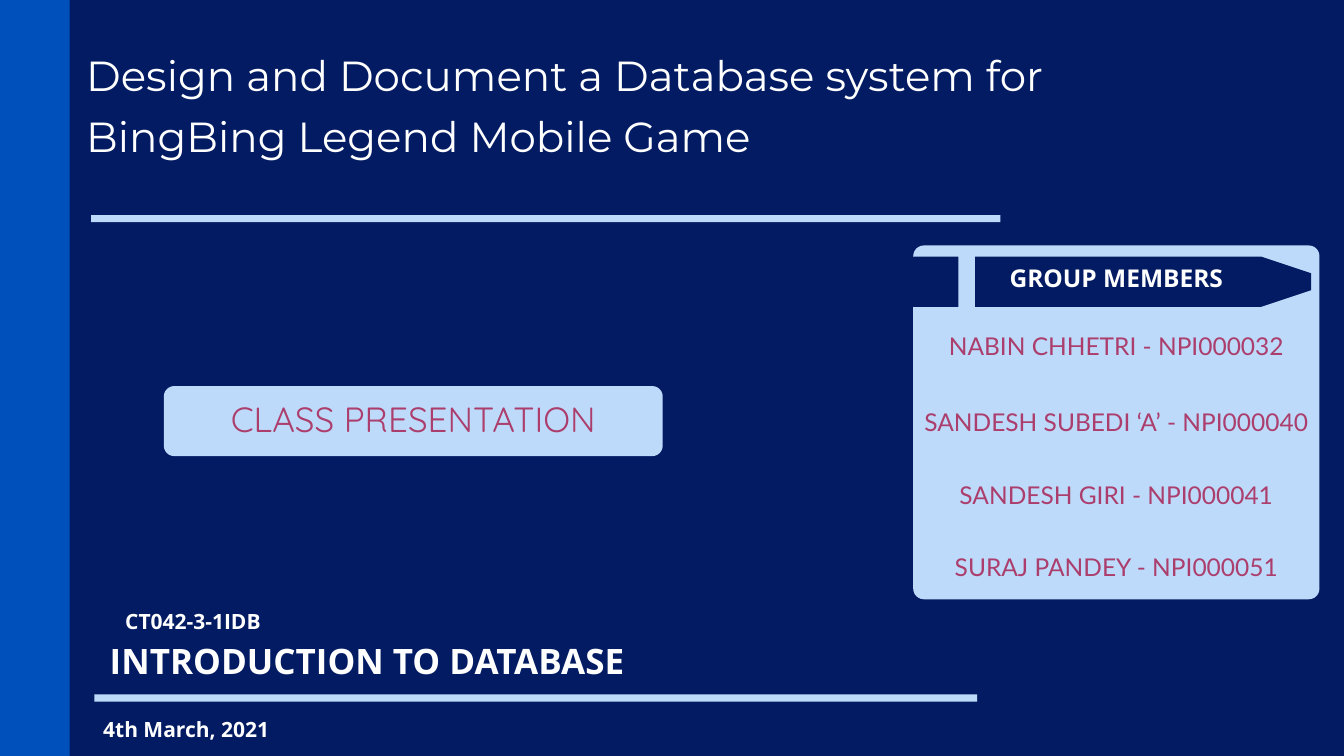
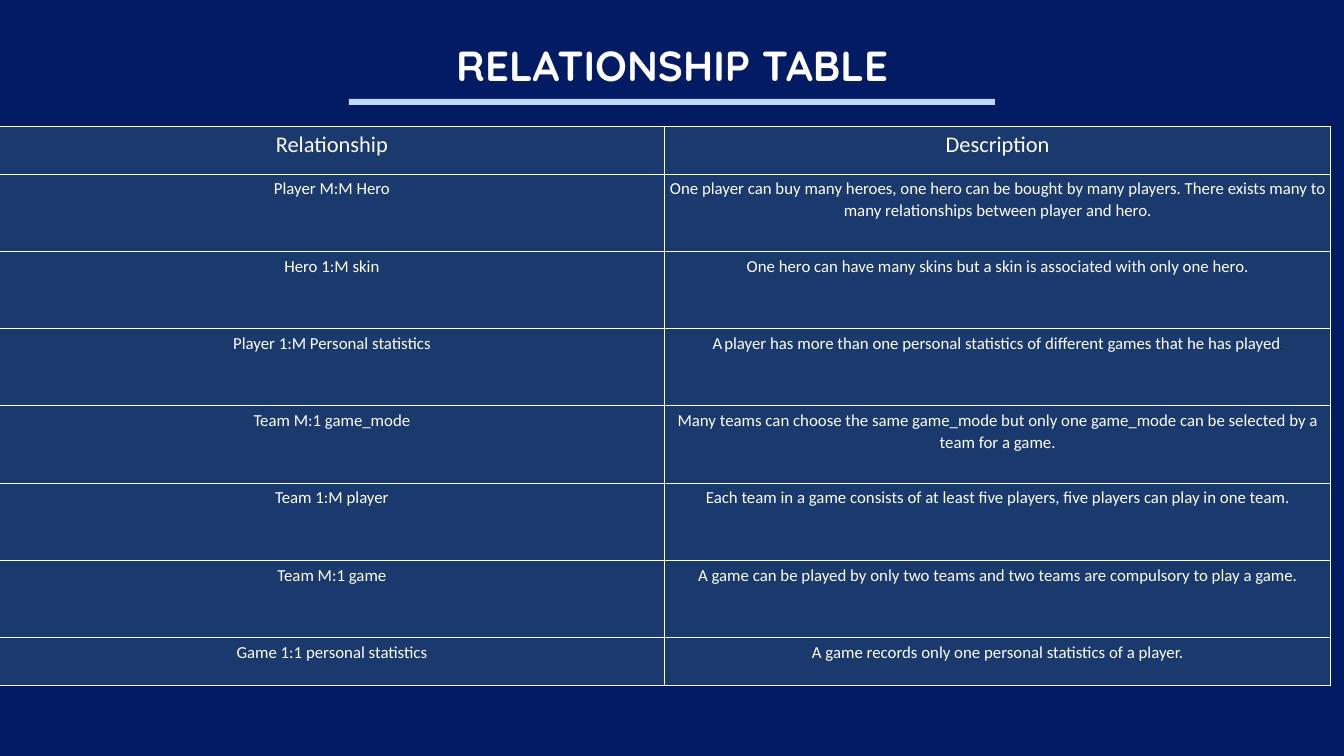
from math import cos, pi, sin
from typing import NamedTuple

from lxml.etree import SubElement
from pptx import Presentation
from pptx.dml.color import RGBColor
from pptx.enum.shapes import MSO_SHAPE as Preset
from pptx.enum.text import MSO_ANCHOR as Anchor
from pptx.enum.text import MSO_AUTO_SIZE as AutoSize
from pptx.enum.text import PP_ALIGN as Align
from pptx.oxml.ns import qn
from pptx.util import Inches, Pt

NAVY = RGBColor(0x03, 0x1B, 0x62)
BLUE = RGBColor(0x00, 0x50, 0xBC)
SKY = RGBColor(0xBE, 0xDA, 0xFA)
ROSE = RGBColor(0xAB, 0x3E, 0x6C)
STEEL = RGBColor(0x1A, 0x39, 0x6D)
WHITE = RGBColor(0xFF, 0xFF, 0xFF)
BLACK = RGBColor(0x00, 0x00, 0x00)

COLUMNS, ROWS = 80, 45
CELL = Inches(1) // 3
PENCIL_HEIGHT = 2.73

MEMBERS = [
    ("NABIN CHHETRI - NPI000032", 4.98, 20.37),
    ("SANDESH SUBEDI ‘A’ - NPI000040", 9.54, 23.73),
    ("SANDESH GIRI - NPI000041", 13.86, 19.14),
    ("SURAJ PANDEY - NPI000051", 18.18, 19.86),
]

RELATIONSHIPS = [
    ("Player M:M Hero",
     "One player can buy many heroes, one hero can be bought by many players. "
     "There exists many to many relationships between player and hero."),
    ("Hero 1:M skin",
     "One hero can have many skins but a skin is associated with only one hero."),
    ("Player 1:M Personal statistics",
     [("A", 24, WHITE), (" ", 12, BLACK),
      ("player has more than one personal statistics of different games "
       "that he has played", 24, WHITE), (".", 12, BLACK)]),
    ("Team M:1 game_mode",
     "Many teams can choose the same game_mode but only one game_mode "
     "can be selected by a team for a game."),
    ("Team 1:M player",
     "Each team in a game consists of at least five players, "
     "five players can play in one team."),
    ("Team M:1 game",
     "A game can be played by only two teams and two teams are compulsory "
     "to play a game."),
    ("Game 1:1 personal statistics",
     "A game records only one personal statistics of a player."),
]


class Box(NamedTuple):
    """A region measured in grid columns and rows."""
    col: float
    row: float
    cols: float
    rows: float

    def inner(self, col, row, cols, rows):
        """Return a box placed relative to this one."""
        return Box(self.col + col, self.row + row, cols, rows)

    def emu(self):
        """Return left, top, width and height in EMU."""
        return [round(length * CELL) for length in self]


def add_run(paragraph, words, size, font, color, bold=False):
    """Append one styled run."""
    run = paragraph.add_run()
    run.text = words
    run.font.size = Pt(size)
    run.font.name = font
    run.font.bold = bold
    run.font.color.rgb = color


def paint(shape, color):
    """Give a shape a flat fill without line or shadow."""
    shape.shadow.inherit = False
    shape.fill.solid()
    shape.fill.fore_color.rgb = color
    shape.line.fill.background()


def add_block(slide, box, color, corner=None):
    """Add a rectangle, rounded when a corner share is given."""
    preset = Preset.RECTANGLE if corner is None else Preset.ROUNDED_RECTANGLE
    block = slide.shapes.add_shape(preset, *box.emu())
    if corner is not None:
        block.adjustments[0] = corner
    paint(block, color)


def add_label(slide, box, words, size, font, color=WHITE, bold=False,
              align=Align.CENTER, spacing=0.9, wrap=False):
    """Add a one-paragraph text box centred vertically."""
    frame = slide.shapes.add_textbox(*box.emu()).text_frame
    frame.word_wrap = wrap
    frame.auto_size = AutoSize.SHAPE_TO_FIT_TEXT
    frame.vertical_anchor = Anchor.MIDDLE
    frame.margin_left = frame.margin_right = Inches(0.06)
    frame.margin_top = frame.margin_bottom = Inches(0.06)
    paragraph = frame.paragraphs[0]
    paragraph.alignment = align
    paragraph.line_spacing = spacing
    add_run(paragraph, words, size, font, color, bold)


def scallop(col, depth, steps=30):
    """Return an upward wavy edge with cusps pointing right."""
    edge = []
    for step in range(steps + 1):
        row = PENCIL_HEIGHT * (1 - step / steps)
        phase = (row - 0.27) % 1.08
        reach = min(phase, 1.08 - phase) / 0.54
        edge.append((col + depth * reach ** 2, row))
    return edge


def add_pencil(slide, box):
    """Draw the pencil banner from eraser to tip."""
    radius, bottom = 0.68, PENCIL_HEIGHT
    turns = [step * pi / 12 for step in range(7)]
    upper = [(radius * (1 - cos(turn)), radius * (1 - sin(turn))) for turn in turns]
    lower = [(col, bottom - row) for col, row in reversed(upper)]
    outlines = [
        upper + [(1.86, 0), (1.86, bottom)] + lower,
        [(2.28, 0), (5.49, 0), (5.49, bottom), (2.28, bottom)],
        [(5.91, 0), (5.91, bottom)] + scallop(22.62, 0.15),
        scallop(23.04, 0.33) + [(25.83, 0.66), (26.22, 0.75), (26.22, 1.98), (25.83, 2.07)],
        [(26.67, 0.87), (28.8, 1.36), (26.67, 1.86)],
    ]
    builder = slide.shapes.build_freeform(*outlines[0][0], scale=CELL)
    for index, outline in enumerate(outlines):
        if index:
            builder.move_to(*outline[0])
        builder.add_line_segments(outline[1:], close=True)
    left, top, _, _ = box.emu()
    paint(builder.convert_to_shape(left, top), NAVY)


def add_project_title(slide, box):
    """Place the project title above its rule."""
    add_label(slide, box.inner(0, 0, box.cols, 7.62),
              "Design and Document a Database system for BingBing Legend Mobile Game",
              60, "Montserrat", align=Align.LEFT, spacing=1.2, wrap=True)
    add_block(slide, box.inner(0.48, 10.65, 54.12, 0.42), SKY)


def add_badge(slide, box):
    """Place the presentation badge."""
    add_block(slide, box, SKY, 0.15)
    add_label(slide, box.inner(2.43, 0.57, 24.84, 3.03),
              "CLASS PRESENTATION", 50, "Quicksand", ROSE)


def add_course(slide, box):
    """Place the course code, course name, rule and date."""
    add_label(slide, box.inner(2.28, 0, 8.52, 1.71), "CT042-3-1IDB", 30, "Open Sans", bold=True)
    add_label(slide, box.inner(0.78, 1.95, 32.25, 2.61),
              "INTRODUCTION TO DATABASE", 50, "Open Sans", bold=True)
    add_block(slide, box.inner(0.66, 5.1, 52.56, 0.42), SKY)
    add_label(slide, box.inner(0.69, 6.33, 10.89, 1.8), "4th March, 2021", 30,
              "Open Sans", bold=True)


def add_members(slide, box):
    """Place the member panel with its pencil heading."""
    add_block(slide, box, SKY, 0.03)
    for member, row, cols in MEMBERS:
        add_label(slide, box.inner((box.cols - cols) / 2, row, cols, 2.16),
                  member, 35, "Lato", ROSE)
    add_pencil(slide, box.inner(-2.31, 0.66, 28.8, PENCIL_HEIGHT))
    add_label(slide, box.inner(5.46, 1.02, 13.26, 2.04), "GROUP MEMBERS", 35,
              "Open Sans", bold=True)


def add_table_title(slide, box):
    """Place the table title above its rule."""
    add_block(slide, box.inner(0, 3.36, box.cols, 0.36), SKY)
    add_label(slide, box.inner(5.13, 0, 28.23, 3.06), "RELATIONSHIP TABLE", 60,
              "Quicksand", bold=True)


def style_cell(cell):
    """Give a cell white borders, a steel fill and narrow margins."""
    properties = cell._tc.get_or_add_tcPr()
    for side in ("lnL", "lnR", "lnT", "lnB"):
        border = SubElement(properties, qn(f"a:{side}"), w=str(Pt(1)))
        line_fill = SubElement(border, qn("a:solidFill"))
        SubElement(line_fill, qn("a:srgbClr"), val=str(WHITE))
    cell.fill.solid()
    cell.fill.fore_color.rgb = STEEL
    cell.margin_left = cell.margin_right = Inches(0.07)
    cell.margin_top = cell.margin_bottom = Inches(0.07)


def add_relationships(slide, box):
    """Place the table of relationships and their descriptions."""
    entries = [("Relationship", "Description")] + RELATIONSHIPS
    table = slide.shapes.add_table(len(entries), 2, *box.emu()).table
    table.first_row = table.horz_banding = False
    for column in table.columns:
        column.width = round(box.cols / 2 * CELL)
    for index, entry in enumerate(entries):
        edge_row = index in (0, len(entries) - 1)
        table.rows[index].height = round((2.85 if edge_row else 4.6) * CELL)
        size = 24 if index else 32
        for position, content in enumerate(entry):
            cell = table.cell(index, position)
            style_cell(cell)
            paragraph = cell.text_frame.paragraphs[0]
            paragraph.alignment = Align.CENTER
            paragraph.line_spacing = 1.07
            pieces = [(content, size, WHITE)] if isinstance(content, str) else content
            for words, piece_size, color in pieces:
                add_run(paragraph, words, piece_size, "Calibri", color)


def add_slide(deck):
    """Add a blank navy slide."""
    slide = deck.slides.add_slide(deck.slide_layouts[6])
    slide.background.fill.solid()
    slide.background.fill.fore_color.rgb = NAVY
    return slide


def build_cover(slide, page):
    """Compose the cover slide."""
    add_block(slide, page.inner(0, 0, 4.15, page.rows), BLUE)
    add_project_title(slide, page.inner(4.95, 2.16, 69.78, 11.07))
    add_badge(slide, page.inner(9.75, 22.98, 29.7, 4.17))
    add_course(slide, page.inner(4.95, 36.24, 53.22, 8.13))
    add_members(slide, page.inner(54.36, 14.61, 24.18, 21.06))


def build_relationships(slide, page):
    """Compose the relationship slide."""
    add_table_title(slide, page.inner(20.76, 2.52, 38.46, 3.72))
    add_relationships(slide, page.inner(-0.06, 7.5, 79.26, 33.3))


def main():
    """Build and save the deck."""
    deck = Presentation()
    deck.slide_width, deck.slide_height = COLUMNS * CELL, ROWS * CELL
    page = Box(0, 0, COLUMNS, ROWS)
    for build in (build_cover, build_relationships):
        build(add_slide(deck), page)
    deck.save("out.pptx")


if __name__ == "__main__":
    main()
